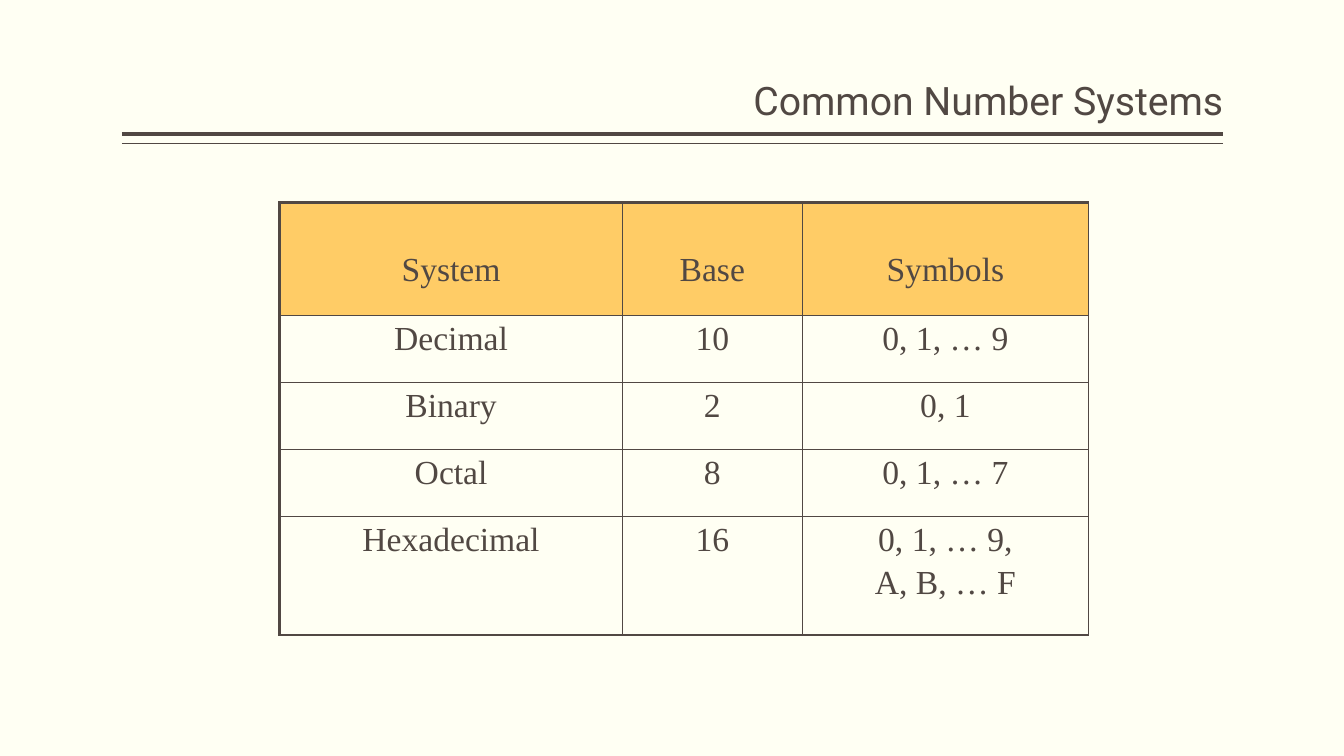
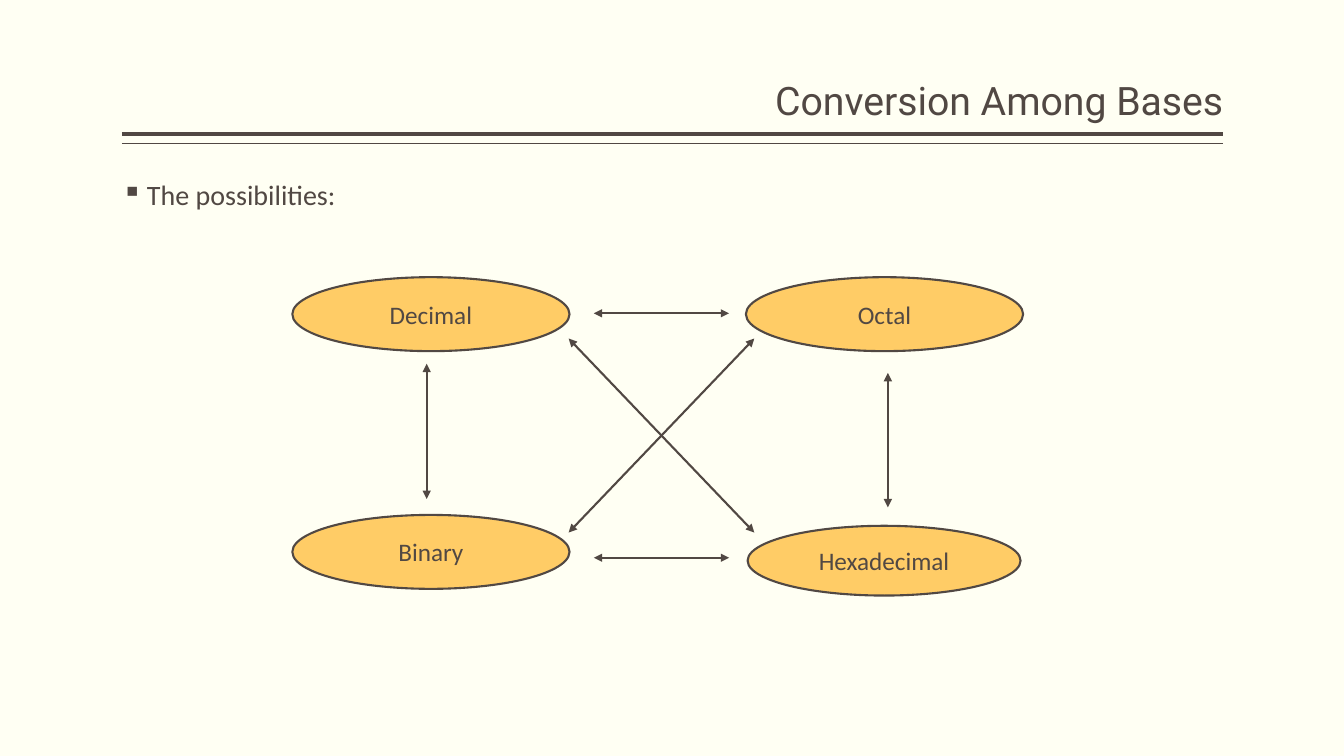
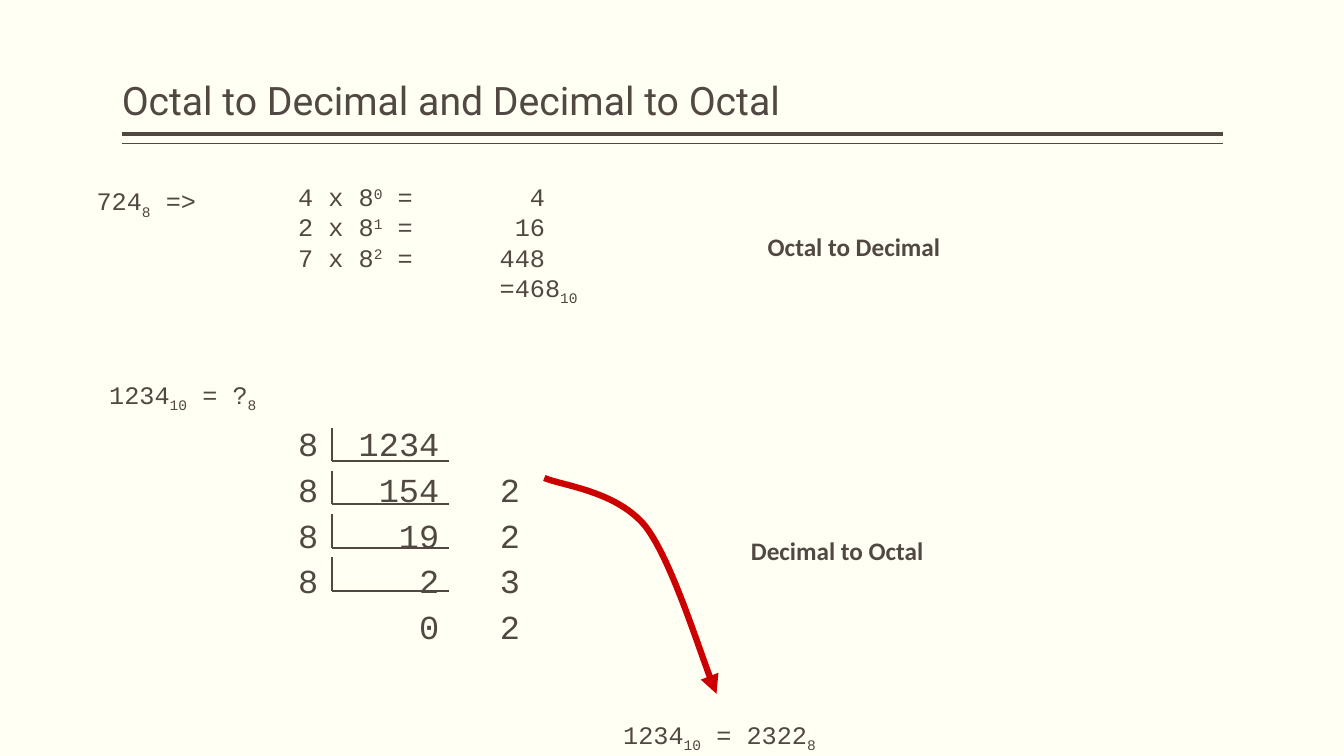
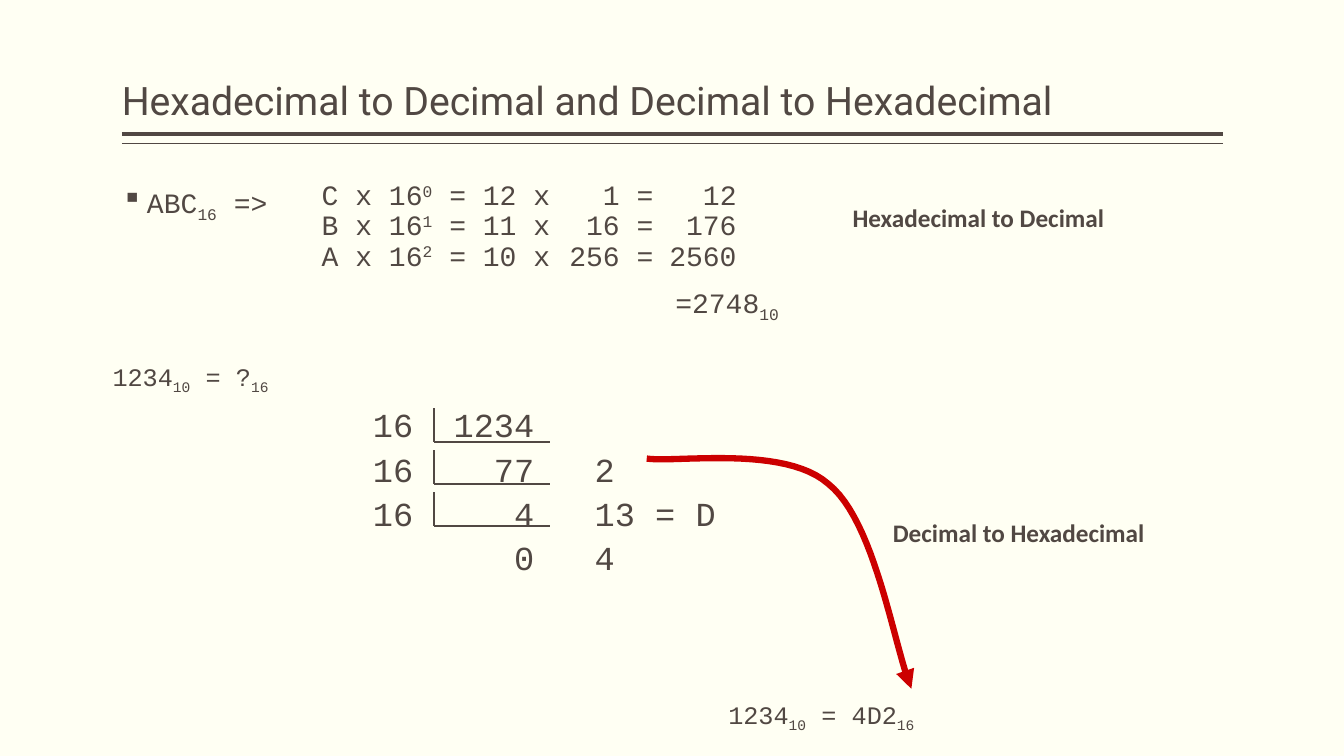
from dataclasses import dataclass
from itertools import pairwise

from lxml.etree import SubElement as add_child
from pptx import Presentation
from pptx.dml.color import RGBColor as Color
from pptx.enum.shapes import MSO_CONNECTOR as Connector, MSO_SHAPE as Preset
from pptx.enum.text import MSO_ANCHOR as Anchor, PP_ALIGN as Align
from pptx.oxml.ns import qn
from pptx.util import Emu, Pt


@dataclass(frozen=True)
class Theme:
    paper: Color = Color.from_string("FFFFF3")
    ink: Color = Color.from_string("514843")
    accent: Color = Color.from_string("FFCC66")
    arrow: Color = Color.from_string("CC0000")
    heading: str = "Roboto"
    body: str = "Calibri"
    mono: str = "Courier New"
    serif: str = "Times New Roman"
    title_size: int = 28
    large: int = 24
    medium: int = 20
    small: int = 18
    thin: float = 1
    line: float = 1.5
    edge: float = 2.25
    rule: float = 3
    stroke: float = 4.5


THEME = Theme()
COLUMNS, ROWS = 160, 90
CELL = 76200
POINTS_PER_CELL = 6
LEFT, RIGHT = 14.5, 145.6
BODY_TOP = 21.6
MONO_LINE = 1.13


def cells(count):
    return Emu(round(count * CELL))


def add_spans(para, text):
    for index, chunk in enumerate(text.split("|")):
        if not chunk:
            continue
        span = para.add_run()
        if index % 2:
            span.text = chunk[1:]
            shift = "-25000" if chunk[0] == "_" else "30000"
            span._r.get_or_add_rPr().set("baseline", shift)
        else:
            span.text = chunk


def set_bullet(para, indent):
    props = para._p.get_or_add_pPr()
    props.set("marL", str(cells(indent)))
    props.set("indent", str(-cells(indent)))
    add_child(props, qn("a:buChar"), char="▪")


def set_tabs(para, stops):
    tabs = add_child(para._p.get_or_add_pPr(), qn("a:tabLst"))
    for side, place in stops:
        add_child(tabs, qn("a:tab"), pos=str(cells(place)), algn=side)


def style(para, size, face, align=Align.LEFT, bold=False):
    para.alignment = align
    font = para.font
    font.size, font.name, font.bold = Pt(size), face, bold
    font.color.rgb = THEME.ink


def clear_insets(frame):
    frame.margin_left = frame.margin_right = 0
    frame.margin_top = frame.margin_bottom = 0


def add_text(page, left, top, width, height, lines, size, face, align=Align.LEFT,
             bold=False, anchor=Anchor.TOP, spacing=None, after=None,
             bullet=False, tabs=()):
    frame = page.shapes.add_textbox(*map(cells, (left, top, width, height))).text_frame
    frame.word_wrap = True
    frame.vertical_anchor = anchor
    clear_insets(frame)
    for index, line in enumerate(lines):
        para = frame.paragraphs[0] if index == 0 else frame.add_paragraph()
        add_spans(para, line)
        if bullet:
            set_bullet(para, 3)
        if tabs:
            set_tabs(para, tabs)
        style(para, size, face, align, bold)
        if spacing:
            para.line_spacing = spacing
        if after:
            para.space_after = Pt(after)
    return frame


def add_line(page, start, end, weight=THEME.line, arrows=False):
    line = page.shapes.add_connector(Connector.STRAIGHT, *map(cells, (*start, *end)))
    line.line.color.rgb = THEME.ink
    line.line.width = Pt(weight)
    if arrows:
        for end_name in ("a:headEnd", "a:tailEnd"):
            add_child(line.line._get_or_add_ln(), qn(end_name), type="triangle")
    add_child(line._element.spPr, qn("a:effectLst"))


def start_page(deck, title, align=Align.LEFT):
    page = deck.slides.add_slide(deck.slide_layouts[6])
    for row, weight in ((16, THEME.rule), (17.1, THEME.thin)):
        add_line(page, (LEFT, row), (RIGHT, row), weight)
    add_text(page, LEFT, 1, RIGHT - LEFT, 13.8, [title], THEME.title_size,
             THEME.heading, align, anchor=Anchor.BOTTOM, spacing=0.9)
    return page


def set_borders(cell, weights):
    props = cell._tc.get_or_add_tcPr()
    for index, (side, weight) in enumerate(zip("LRTB", weights)):
        border = props.makeelement(qn(f"a:ln{side}"), {"w": str(Pt(weight))})
        fill = add_child(border, qn("a:solidFill"))
        add_child(fill, qn("a:srgbClr"), val=str(THEME.ink))
        props.insert(index, border)


def add_grid_table(page, left, top, widths, heights, rows):
    frame = page.shapes.add_table(len(rows), len(widths), *map(
        cells, (left, top, sum(widths), sum(heights))))
    table = frame.table
    table.first_row = table.horz_banding = False
    for column, width in zip(table.columns, widths):
        column.width = cells(width)
    for r, (row, height) in enumerate(zip(rows, heights)):
        table.rows[r].height = cells(height)
        for c, text in enumerate(row):
            cell = table.cell(r, c)
            cell.text = text
            for index, para in enumerate(cell.text_frame.paragraphs):
                style(para, THEME.large, THEME.serif, Align.CENTER)
                if index:
                    para.space_before = Pt(4)
            if r == 0:
                cell.margin_top = cells(5.8)
                cell.fill.solid()
                cell.fill.fore_color.rgb = THEME.accent
            else:
                cell.fill.background()
            set_borders(cell, (
                THEME.edge if c == 0 else THEME.thin,
                THEME.thin,
                THEME.edge if r == 0 else THEME.thin,
                THEME.edge if r == len(rows) - 1 else THEME.thin))


def add_ellipse(page, text, left, top, width=33, height=8.8):
    shape = page.shapes.add_shape(Preset.OVAL, *map(cells, (left, top, width, height)))
    shape.shadow.inherit = False
    shape.fill.solid()
    shape.fill.fore_color.rgb = THEME.accent
    shape.line.color.rgb = THEME.ink
    shape.line.width = Pt(THEME.line)
    frame = shape.text_frame
    frame.word_wrap = False
    frame.vertical_anchor = Anchor.MIDDLE
    frame.text = text
    style(frame.paragraphs[0], THEME.small, THEME.body, Align.CENTER)


def bezier(a, b, c, d, t):
    u = 1 - t
    return tuple(cells(u**3 * p + 3 * u * u * t * q + 3 * u * t * t * r + t**3 * s)
                 for p, q, r, s in zip(a, b, c, d))


def add_curved_arrow(page, points, steps=24):
    segments = [points[i:i + 4] for i in range(0, len(points) - 1, 3)]
    track = [bezier(*segment, step / steps)
             for segment in segments for step in range(1, steps + 1)]
    builder = page.shapes.build_freeform(*map(cells, points[0]))
    builder.add_line_segments(track, close=False)
    curve = builder.convert_to_shape()
    curve.shadow.inherit = False
    curve.fill.background()
    curve.line.color.rgb = THEME.arrow
    curve.line.width = Pt(THEME.stroke)
    add_child(curve.line._get_or_add_ln(), qn("a:tailEnd"), type="triangle")


def add_caption(page, text, left, top):
    add_text(page, left, top, 36, 4, [text], THEME.small, THEME.body, bold=True)


def add_formula(page, text, left, top):
    add_text(page, left, top, 36, 4, [text], THEME.small, THEME.mono)


def add_expansion(page, left, lines, total, size, stops, total_stop, spacing, gap):
    frame = add_text(page, left, BODY_TOP, 60, 14, lines, size, THEME.mono,
                     spacing=spacing, tabs=stops)
    para = frame.add_paragraph()
    add_spans(para, "\t" + total)
    set_tabs(para, [("l", total_stop)])
    style(para, size, THEME.mono)
    para.line_spacing = spacing
    para.space_before = Pt(gap)


def add_division(page, left, top, lines, stops, pitch, bracket, width):
    after = round(pitch * POINTS_PER_CELL - THEME.large * MONO_LINE, 1)
    add_text(page, left, top, 50, pitch * len(lines), lines, THEME.large,
             THEME.mono, after=after, tabs=stops)
    for index in range(len(lines) - 1):
        upper = top + 0.5 + pitch * index
        corners = [(bracket, upper), (bracket, upper + 4), (bracket + width, upper + 4)]
        for start, end in pairwise(corners):
            add_line(page, start, end)


def build_systems(deck):
    page = start_page(deck, "Common Number Systems", Align.RIGHT)
    add_grid_table(page, 33.3, 24.1, (40.8, 21.4, 34.1), (13.5, 7.9, 8, 8, 14.1), [
        ("System", "Base", "Symbols"),
        ("Decimal", "10", "0, 1, … 9"),
        ("Binary", "2", "0, 1"),
        ("Octal", "8", "0, 1, … 7"),
        ("Hexadecimal", "16", "0, 1, … 9,\nA, B, … F")])


def build_conversions(deck):
    page = start_page(deck, "Conversion Among Bases", Align.RIGHT)
    add_text(page, LEFT, BODY_TOP, RIGHT - LEFT, 5, ["The possibilities:"],
             THEME.medium, THEME.body, spacing=0.9, bullet=True)
    add_ellipse(page, "Hexadecimal", 89, 62.6, 32.5, 8.3)
    for text, left, top in (("Decimal", 34.8, 33), ("Octal", 88.8, 33),
                            ("Binary", 34.8, 61.3)):
        add_ellipse(page, text, left, top)
    for start, end in (((67.7, 63.4), (89.8, 40.3)), ((89.8, 63.4), (67.7, 40.3)),
                       ((105.7, 60.4), (105.7, 44.4)), ((50.8, 59.4), (50.8, 43.3)),
                       ((70.7, 37.3), (86.8, 37.3)), ((70.7, 66.4), (86.8, 66.4))):
        add_line(page, start, end, arrows=True)


def build_octal(deck):
    page = start_page(deck, "Octal to Decimal and Decimal to Octal")
    add_formula(page, "724|_8| =>", 11.5, BODY_TOP + 0.5)
    add_expansion(page, 35.5,
                  ["4 x 8|^0| =\t4", "2 x 8|^1| =\t16", "7 x 8|^2| =\t448"],
                  "=468|_10|", THEME.small, [("r", 29.4)], 24, 1.0, 0)
    add_caption(page, "Octal to Decimal", 91.4, 27.5)
    add_formula(page, "1234|_10| = ?|_8|", 13, 45.1)
    add_division(page, 35.5, 50.4,
                 ["8\t1234", "8\t154\t2", "8\t19\t2", "8\t2\t3", "\t0\t2"],
                 [("r", 16.8), ("l", 24)], 5.15, 39.5, 14)
    add_curved_arrow(page, [(64.8, 56.9), (66.8, 57.8), (73.3, 58.4), (76.8, 62.6),
                            (80.2, 67), (83.5, 78.4), (85.3, 82.6)])
    add_caption(page, "Decimal to Octal", 89.4, 63.7)
    add_formula(page, "1234|_10| = 2322|_8|", 74.2, 85.6)


def build_hexadecimal(deck):
    page = start_page(deck, "Hexadecimal to Decimal and Decimal to Hexadecimal")
    add_text(page, LEFT, BODY_TOP + 0.5, 22, 4, ["ABC|_16| =>"],
             THEME.medium, THEME.mono, spacing=0.9, bullet=True)
    add_expansion(page, 38.3,
                  ["C x 16|^0| = 12 x\t1 =\t12", "B x 16|^1| = 11 x\t16 =\t176",
                   "A x 16|^2| = 10 x\t256 =\t2560"],
                  "=2748|_10|", THEME.medium, [("r", 39.5), ("r", 49.4)], 42.1, 0.9, 10)
    add_caption(page, "Hexadecimal to Decimal", 101.5, 24.1)
    add_formula(page, "1234|_10| = ?|_16|", 13.4, 43)
    add_division(page, 44.4, 48.1,
                 ["16\t1234", "16\t77\t2", "16\t4\t13 = D", "\t0\t4"],
                 [("r", 19.2), ("l", 26.4)], 5, 51.7, 13.8)
    add_curved_arrow(page, [(77, 54.6), (80.6, 55.1), (93.4, 53), (98.6, 57.6),
                            (104.2, 62), (106.4, 76.9), (108.5, 82)])
    add_caption(page, "Decimal to Hexadecimal", 106.3, 61.6)
    add_formula(page, "1234|_10| = 4D2|_16|", 86.7, 83.2)


def main():
    deck = Presentation()
    deck.slide_width, deck.slide_height = cells(COLUMNS), cells(ROWS)
    backdrop = deck.slide_master.background.fill
    backdrop.solid()
    backdrop.fore_color.rgb = THEME.paper
    for build in (build_systems, build_conversions, build_octal, build_hexadecimal):
        build(deck)
    deck.save("out.pptx")


if __name__ == "__main__":
    main()
